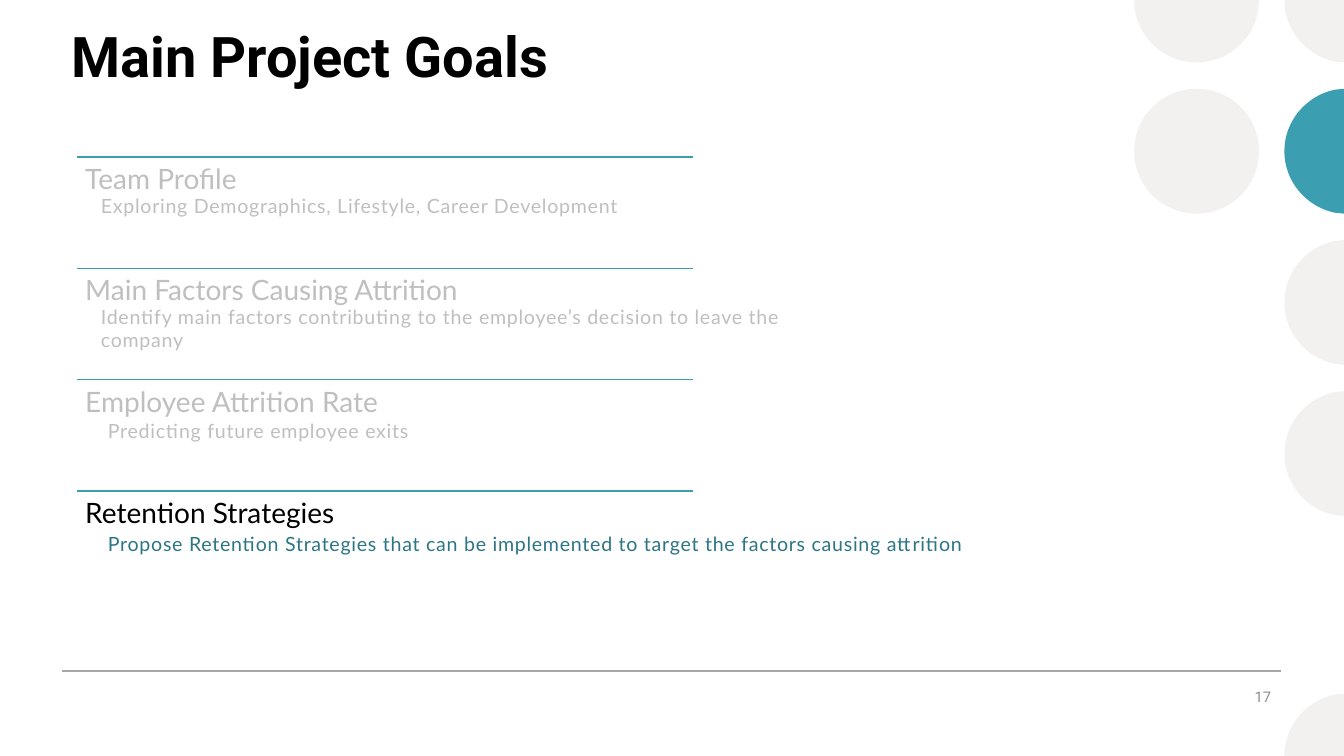
from lxml import etree
from pptx import Presentation
from pptx.dml.color import RGBColor
from pptx.enum.shapes import MSO_CONNECTOR, MSO_SHAPE
from pptx.enum.text import MSO_ANCHOR, PP_ALIGN
from pptx.oxml.ns import qn
from pptx.util import Pt

LINE = MSO_CONNECTOR.STRAIGHT
RECT, OVAL = MSO_SHAPE.RECTANGLE, MSO_SHAPE.OVAL
TOP, MIDDLE = MSO_ANCHOR.TOP, MSO_ANCHOR.MIDDLE
LEFT, RIGHT = PP_ALIGN.LEFT, PP_ALIGN.RIGHT

# Content
TITLE = "Main Project Goals"
PAGE = "17"
# heading, heading colour, detail, detail colour, detail box (left, top, width, height)
GOALS = [
    ("Team Profile", "faded",
     "Exploring Demographics, Lifestyle, Career Development", "faded",
     (65, 135, 397.4, 31.7)),
    ("Main Factors Causing Attrition", "faded",
     "Identify main factors contributing to the employee’s decision to leave the company",
     "faded", (65, 214.1, 557, 27.4)),
    ("Employee Attrition Rate", "faded",
     "Predicting future employee exits", "faded",
     (70, 295.9, 397.4, 31.7)),
    ("Retention Strategies", "black",
     "Propose Retention Strategies that can be implemented to target the factors causing attrition",
     "deep", (70, 376.6, 640.8, 55.4)),
]
COLORS = {"pale": "F3F1F0", "teal": "3B9EB1", "deep": "2C7685", "faded": "BFBFBF",
          "black": "000000", "white": "FFFFFF", "rule": "A6A6A6", "page": "8C8C8C"}

# Layout
WIDTH, HEIGHT = 960, 540
DOT_GAP, DOT_SIZE = 108, 89.2
GOAL_X, GOAL_Y, GOAL_W, GOAL_H = 54.9, 112.1, 440, 79.55

# Cut dots: steps around a dot's middle height; six numbers make a curve
RISE = (917.4, -21.6, 933.1, -39.6, 953.3, -43.9)
FALL = (933.1, 39.6, 917.4, 21.6, 917.4, 0)
HALF = [(WIDTH, -44.6), (WIDTH, 44.6), (953.3, 43.9), FALL, RISE]
UPPER = [(WIDTH, -44.6), (WIDTH, 0), (917.4, 0), RISE]
LOWER = [(917.4, 0), (WIDTH, 0), (WIDTH, 44.6), (953.3, 43.9), FALL]
BOWL = [(810.1, 0), (899.3, 0), (899.3, 24.6, 879.3, 44.6, 854.7, 44.6),
        (830.1, 44.6, 810.1, 24.6, 810.1, 0)]
# outline, row, colour
CUTS = [(BOWL, 0, "pale"), (UPPER, 5, "pale"), (HALF, 3, "pale"),
        (HALF, 2, "pale"), (HALF, 1, "teal"), (LOWER, 0, "pale")]


def color(name):
    return RGBColor.from_string(COLORS[name])


def paint(shape, name):
    shape.fill.solid()
    shape.fill.fore_color.rgb = color(name)
    shape.line.fill.background()
    shape.shadow.inherit = False


def write(shape, text, size, face, tint, anchor=TOP, align=LEFT):
    frame = shape.text_frame
    frame.word_wrap = True
    frame.vertical_anchor = anchor
    para = frame.paragraphs[0]
    para.text = text
    para.alignment = align
    para.font.size = Pt(size)
    para.font.name = face
    para.font.color.rgb = color(tint)
    return para


def add_cut(shapes, steps, mid, name):
    ends = [(Pt(s[-2]), Pt(s[-1] + mid)) for s in steps]
    pen = shapes.build_freeform(*ends[0], scale=1.0)
    pen.add_line_segments(ends[1:], close=True)
    dot = pen.convert_to_shape()
    # Bend the segments that have control points
    for part, step in zip(list(dot._element.iter(qn("a:lnTo"))), steps[1:]):
        if len(step) == 6:
            part.tag = qn("a:cubicBezTo")
            for i in (0, 1):
                x = Pt(step[2 * i]) - dot.left
                y = Pt(step[2 * i + 1] + mid) - dot.top
                part.insert(i, etree.Element(qn("a:pt"), x=str(x), y=str(y)))
    paint(dot, name)


def add_rule(shapes, left, right, y, name):
    rule = shapes.add_connector(LINE, Pt(left), Pt(y), Pt(right), Pt(y))
    rule.line.color.rgb = color(name)
    rule.line.width = Pt(1)
    etree.SubElement(rule._element.spPr, qn("a:effectLst"))


def add_detail(shapes, text, tint, box):
    shape = shapes.add_shape(RECT, *map(Pt, box))
    paint(shape, "white")
    fill = shape._element.spPr.find(qn("a:solidFill"))
    etree.SubElement(fill[0], qn("a:alpha"), val="70000")
    para = write(shape, text, 14, "Lato", tint)
    para.space_before = Pt(10)
    para.runs[0]._r.get_or_add_rPr().set("spc", "50")


def add_head(shapes, text, tint, y):
    box = shapes.add_textbox(Pt(GOAL_X), Pt(y), Pt(GOAL_W), Pt(GOAL_H))
    frame = box.text_frame
    frame.margin_left = frame.margin_right = Pt(6)
    frame.margin_top = frame.margin_bottom = Pt(6)
    write(box, text, 20, "Lato", tint).line_spacing = 0.9


def main():
    prs = Presentation()
    prs.slide_width, prs.slide_height = Pt(WIDTH), Pt(HEIGHT)
    slide = prs.slides.add_slide(prs.slide_layouts[5])
    shapes = slide.shapes

    # Corner dots and footer rule
    dot = shapes.add_shape(OVAL, Pt(810.1), Pt(DOT_GAP - DOT_SIZE / 2),
                           Pt(DOT_SIZE), Pt(DOT_SIZE))
    paint(dot, "pale")
    for steps, row, name in CUTS:
        add_cut(shapes, steps, row * DOT_GAP, name)
    add_rule(shapes, 44.6, 915, 479.3, "rule")

    # Title
    title = shapes.title
    title.left, title.top, title.width, title.height = map(Pt, (43.9, 11.8, 577.4, 100))
    write(title, TITLE, 40, "Roboto", "black").font.bold = True

    # Goals
    for _, _, text, tint, box in GOALS:
        add_detail(shapes, text, tint, box)
    for i, (head, tint, *_) in enumerate(GOALS):
        y = GOAL_Y + i * GOAL_H
        add_rule(shapes, GOAL_X, GOAL_X + GOAL_W, y, "teal")
        add_head(shapes, head, tint, y)

    # Page number
    page = shapes.add_textbox(Pt(851), Pt(483.4), Pt(64), Pt(28.8))
    write(page, PAGE, 10.5, "Roboto", "page", MIDDLE, RIGHT)

    prs.save("out.pptx")


if __name__ == "__main__":
    main()
